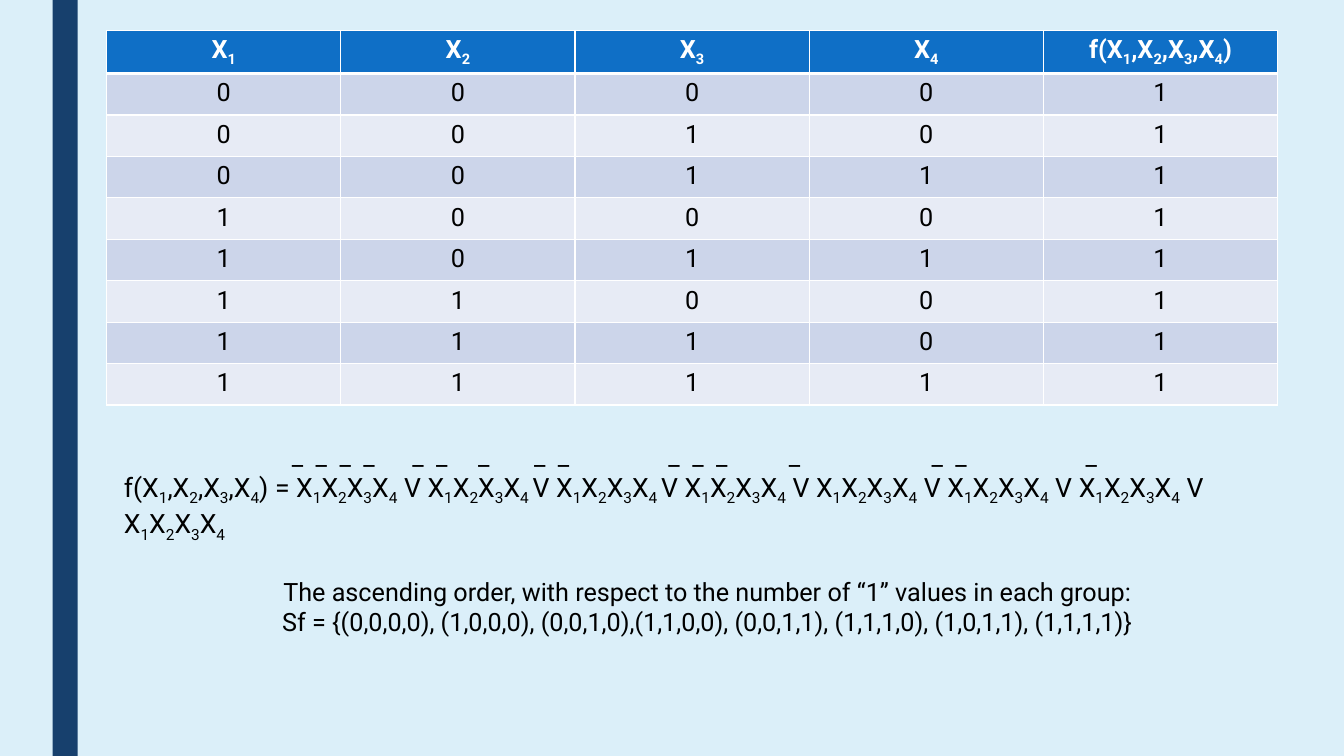
"""Build a truth-table slide with its disjunctive normal form."""
import lxml.etree
import pptx
import pptx.dml.color
import pptx.enum.shapes
import pptx.enum.text
import pptx.oxml.ns
import pptx.util

Pt = pptx.util.Pt
qn = pptx.oxml.ns.qn
ALIGN = pptx.enum.text.PP_ALIGN

VARIABLES = ["X[1]", "X[2]", "X[3]", "X[4]"]
FUNCTION = "f(" + ",".join(VARIABLES) + ")"
GROUPS = ["0000", "0010", "0011", "1000", "1011", "1100", "1110", "1111"]
TERM = "X[1]X[2]X[3]X[4"
JOINS = ["] V ", " ]V ", " ]V ", "] V ", "] V ", "] V ", "] V "]
FORMULA = FUNCTION + " = " + TERM + "".join(j + TERM for j in JOINS) + "]"
BAR_STOPS = [120, 137, 154, 171, 206, 223, 253, 293, 310,
             389, 406, 423, 475, 577, 594, 687]
ORDER = [
    "The ascending order, with respect to the number of “1” values in each group:",
    "Sf = {(0,0,0,0), (1,0,0,0), (0,0,1,0),(1,1,0,0), "
    "(0,0,1,1), (1,1,1,0), (1,0,1,1), (1,1,1,1)}",
]


def rgb(value):
    return pptx.dml.color.RGBColor.from_string(value)


def paint(fill, color):
    fill.solid()
    fill.fore_color.rgb = rgb(color)


def write(p, text, size=18, color="000000", bold=False, align=ALIGN.LEFT):
    p.alignment = align
    for i, part in enumerate(text.replace("[", "]").split("]")):
        if not part:
            continue
        r = p.add_run()
        r.text = part
        r.font.name = "Roboto"
        r.font.size = Pt(size)
        r.font.bold = bold
        r.font.color.rgb = rgb(color)
        if i % 2:
            r.font._element.set("baseline", "-25000")


def add_tab_stops(p, stops):
    tabs = lxml.etree.SubElement(p._p.get_or_add_pPr(), qn("a:tabLst"))
    for stop in stops:
        lxml.etree.SubElement(tabs, qn("a:tab"), pos=str(Pt(stop)), algn="l")


def add_borders(cell, top, bottom):
    tcPr = cell._tc.get_or_add_tcPr()
    widths = {"a:lnL": 1, "a:lnR": 1, "a:lnT": top, "a:lnB": bottom}
    for i, (tag, width) in enumerate(widths.items()):
        ln = lxml.etree.Element(qn(tag), w=str(Pt(width)))
        fill = lxml.etree.SubElement(ln, qn("a:solidFill"))
        lxml.etree.SubElement(fill, qn("a:srgbClr"), val="FFFFFF")
        tcPr.insert(i, ln)


def add_truth_table(s, left, top, col_width, row_height):
    rows = [VARIABLES + [FUNCTION]] + [list(g) + ["1"] for g in GROUPS]
    n_rows, n_cols = len(rows), len(rows[0])
    table = s.shapes.add_table(n_rows, n_cols, Pt(left), Pt(top),
                               Pt(col_width * n_cols), Pt(row_height * n_rows)).table
    for col in table.columns:
        col.width = Pt(col_width)
    for i, values in enumerate(rows):
        header = i == 0
        table.rows[i].height = Pt(row_height)
        fill = "0F6FC6" if header else ("E7EBF5", "CCD5EA")[i % 2]
        for j, value in enumerate(values):
            cell = table.cell(i, j)
            paint(cell.fill, fill)
            add_borders(cell, 3 if i == 1 else 1, 3 if header else 1)
            write(cell.text_frame.paragraphs[0], value, bold=header,
                  color="FFFFFF" if header else "000000", align=ALIGN.CENTER)


def add_text_box(s, left, top, width, height):
    tf = s.shapes.add_textbox(Pt(left), Pt(top), Pt(width), Pt(height)).text_frame
    tf.word_wrap = True
    tf.auto_size = pptx.enum.text.MSO_AUTO_SIZE.SHAPE_TO_FIT_TEXT
    return tf


def add_bar(s, left, width, height, color):
    sp = s.shapes.add_shape(pptx.enum.shapes.MSO_SHAPE.RECTANGLE,
                            Pt(left), Pt(0), Pt(width), Pt(height))
    sp.shadow.inherit = False
    sp.line.fill.background()
    paint(sp.fill, color)


def main():
    prs = pptx.Presentation()
    prs.slide_width, prs.slide_height = Pt(960), Pt(540)
    s = prs.slides.add_slide(prs.slide_layouts[6])
    paint(s.background.fill, "DBEFF9")
    add_bar(s, 37.5, 18, 540, "17406D")
    add_truth_table(s, 76.2, 21.6, 167.3, 29.6)

    tf = add_text_box(s, 81.4, 311, 831.6, 52)
    negations = tf.paragraphs[0]
    write(negations, "\t_" * len(BAR_STOPS))
    add_tab_stops(negations, BAR_STOPS)
    write(tf.add_paragraph(), FORMULA, size=19)

    tf = add_text_box(s, 89.3, 408.2, 832.3, 51)
    write(tf.paragraphs[0], ORDER[0], align=ALIGN.CENTER)
    write(tf.add_paragraph(), ORDER[1], align=ALIGN.CENTER)
    prs.save("out.pptx")


if __name__ == "__main__":
    main()
